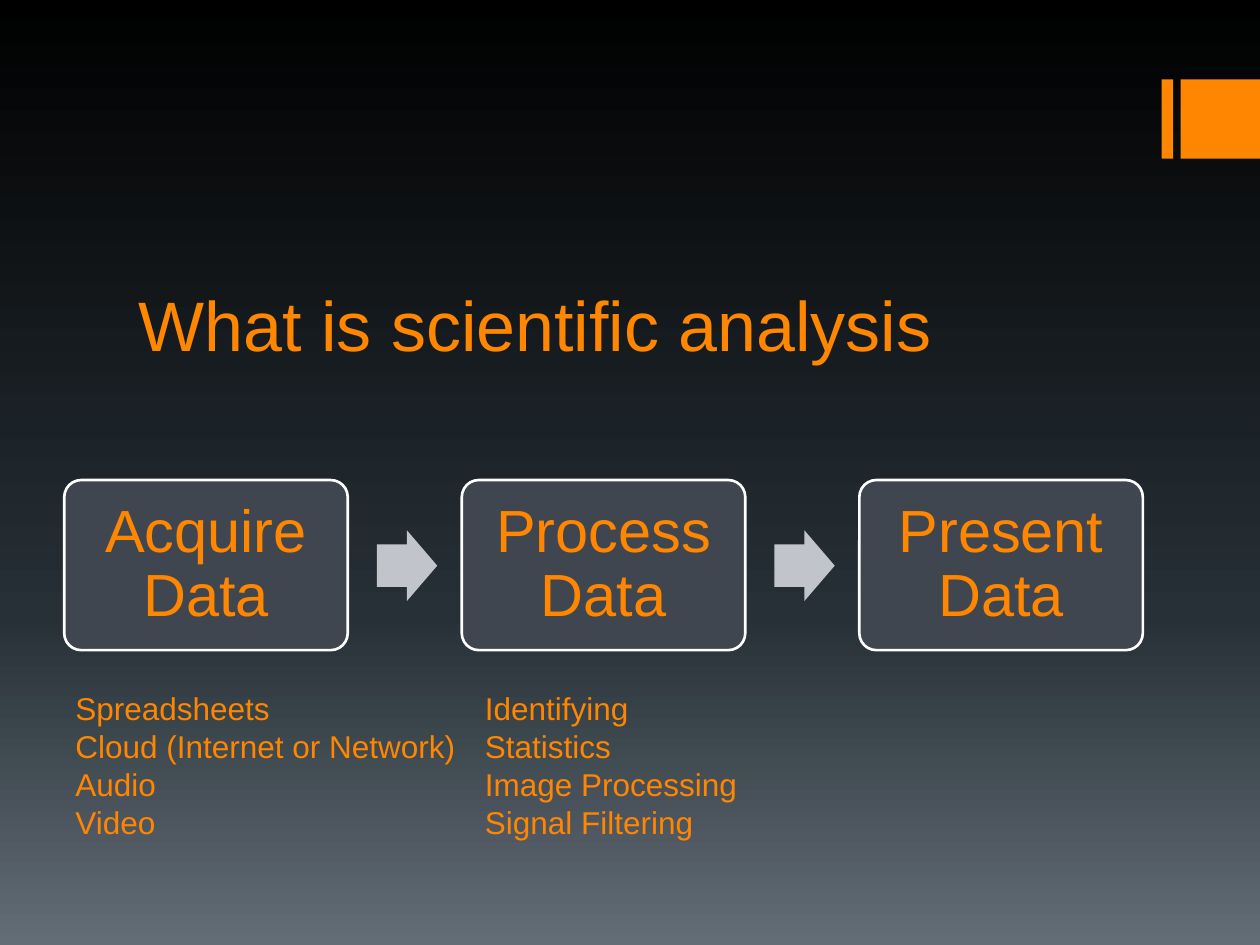
from copy import deepcopy
from dataclasses import dataclass
from pptx import Presentation
from pptx.dml.color import RGBColor
from pptx.enum.shapes import MSO_SHAPE
from pptx.enum.text import MSO_ANCHOR, MSO_AUTO_SIZE, PP_ALIGN
from pptx.oxml.ns import qn
from pptx.util import Inches, Pt


@dataclass(frozen=True)
class Theme:
    """Colours, font and type sizes of the slide."""
    font: str = "Arial"
    accent: str = "FF8600"
    box: str = "40464F"
    edge: str = "FFFFFF"
    arrow: str = "C1C5CB"
    back: tuple = ((0, "000000"), (65, "273037"), (100, "636D76"))
    title: int = 40
    step: int = 34
    body: int = 18


class Deck:
    """Draws on one slide with a grid of 100 columns and 75 rows."""

    def __init__(self, theme):
        """Start a title-only slide."""
        self.theme = theme
        self.file = Presentation()
        self.file.slide_width, self.file.slide_height = Inches(10), Inches(7.5)
        self.slide = self.file.slides.add_slide(self.file.slide_layouts[5])

    def area(self, col, row, wide, high):
        """Turn grid units into lengths."""
        across, down = self.file.slide_width / 100, self.file.slide_height / 75
        return [int(n) for n in (col * across, row * down, wide * across, high * down)]

    def backdrop(self):
        """Fill the background with a vertical gradient."""
        fill = self.slide.background.fill
        fill.gradient()
        fill.gradient_angle = 270
        stops = self.slide.element.find(".//" + qn("a:gsLst"))
        stops.append(deepcopy(stops[-1]))
        for stop, (share, color) in zip(fill.gradient_stops, self.theme.back):
            stop.position = share / 100
            stop.color.rgb = RGBColor.from_string(color)

    def style(self, frame, size, align=PP_ALIGN.LEFT):
        """Format every paragraph of a frame."""
        for para in frame.paragraphs:
            para.alignment = align
            for run in para.runs:
                run.font.name = self.theme.font
                run.font.size = Pt(size)
                run.font.color.rgb = RGBColor.from_string(self.theme.accent)

    def title(self, text, *place):
        """Place and format the title."""
        shape = self.slide.shapes.title
        shape.left, shape.top, shape.width, shape.height = self.area(*place)
        frame = shape.text_frame
        frame.text = text
        frame.auto_size = MSO_AUTO_SIZE.NONE
        frame.vertical_anchor = MSO_ANCHOR.BOTTOM
        self.style(frame, self.theme.title)

    def shape(self, kind, color, *place, adjust=()):
        """Add a flat shape without an outline."""
        shape = self.slide.shapes.add_shape(kind, *self.area(*place))
        shape.shadow.inherit = False
        shape.fill.solid()
        shape.fill.fore_color.rgb = RGBColor.from_string(color)
        shape.line.fill.background()
        for index, value in enumerate(adjust):
            shape.adjustments[index] = value
        return shape

    def step(self, text, *place):
        """Add a rounded box with a centred label."""
        shape = self.shape(MSO_SHAPE.ROUNDED_RECTANGLE, self.theme.box, *place, adjust=[0.1])
        shape.line.color.rgb = RGBColor.from_string(self.theme.edge)
        shape.line.width = Pt(1.5)
        frame = shape.text_frame
        frame.text = text
        frame.word_wrap = True
        frame.vertical_anchor = MSO_ANCHOR.MIDDLE
        frame.margin_left = frame.margin_right = Inches(0.16)
        frame.margin_top = frame.margin_bottom = Inches(0.14)
        frame.paragraphs[0].line_spacing = 0.9
        self.style(frame, self.theme.step, PP_ALIGN.CENTER)

    def notes(self, lines, *place):
        """Add a text box with one paragraph a line."""
        frame = self.slide.shapes.add_textbox(*self.area(*place)).text_frame
        frame.text = "\n".join(lines)
        frame.word_wrap = True
        frame.auto_size = MSO_AUTO_SIZE.SHAPE_TO_FIT_TEXT
        self.style(frame, self.theme.body)


STEPS = ("Acquire Data", "Process Data", "Present Data")
NOTES = (
    ("Spreadsheets", "Cloud (Internet or Network)", "Audio", "Video"),
    ("Identifying ", "Statistics", "Image Processing", "Signal Filtering"),
)
LEFT, PITCH = 5.1, 31.55

deck = Deck(Theme())
deck.backdrop()
for col, wide in ((92.2, 0.9), (93.7, 6.3)):
    deck.shape(MSO_SHAPE.RECTANGLE, deck.theme.accent, col, 6.3, wide, 6.3)
deck.title("What is scientific analysis", 10, 16.9, 80, 12.6)
for index, label in enumerate(STEPS):
    start = LEFT + index * PITCH
    if index:
        deck.shape(MSO_SHAPE.RIGHT_ARROW, deck.theme.arrow, start - 6.75, 42.1, 4.8, 5.6,
                   adjust=[0.6, 0.5])
    deck.step(label, start, 38.1, 22.5, 13.5)
for index, lines in enumerate(NOTES):
    deck.notes(lines, 5 + index * 32.5, 54.2, 34.2, 16.2)
deck.file.save("out.pptx")
